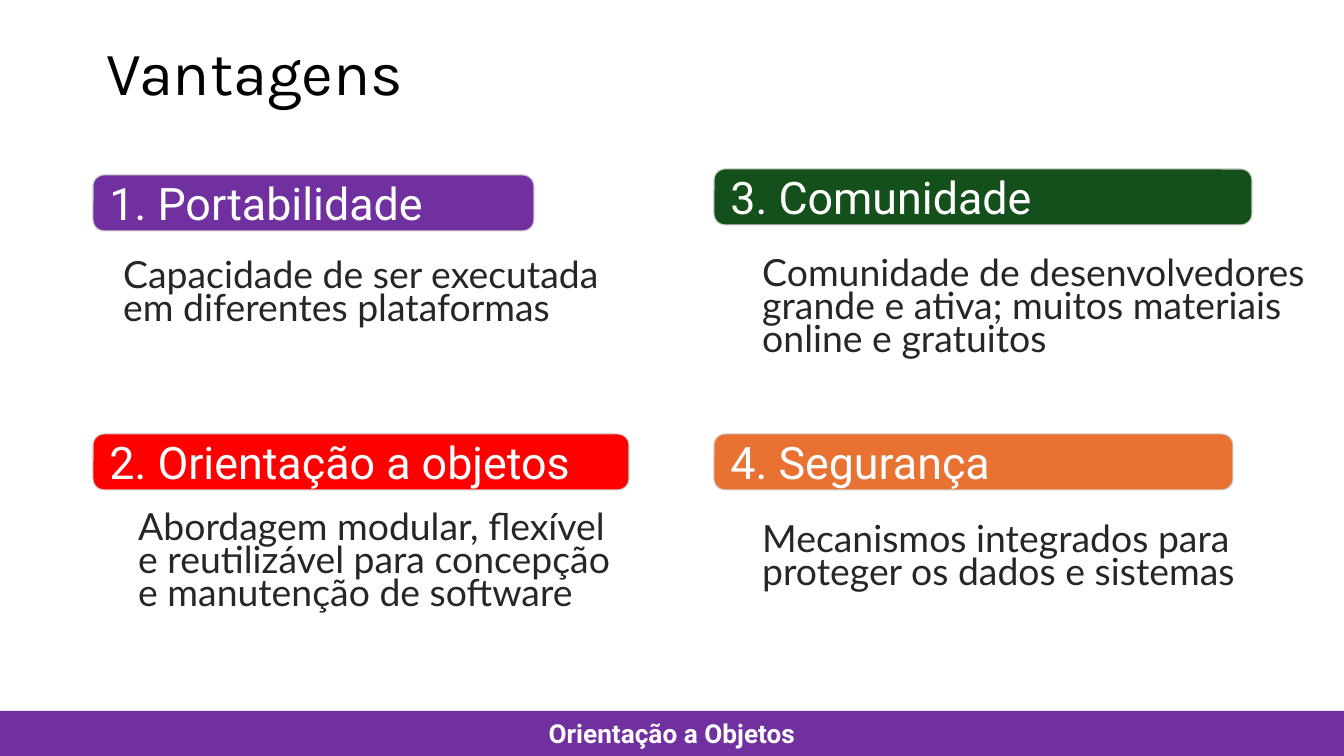
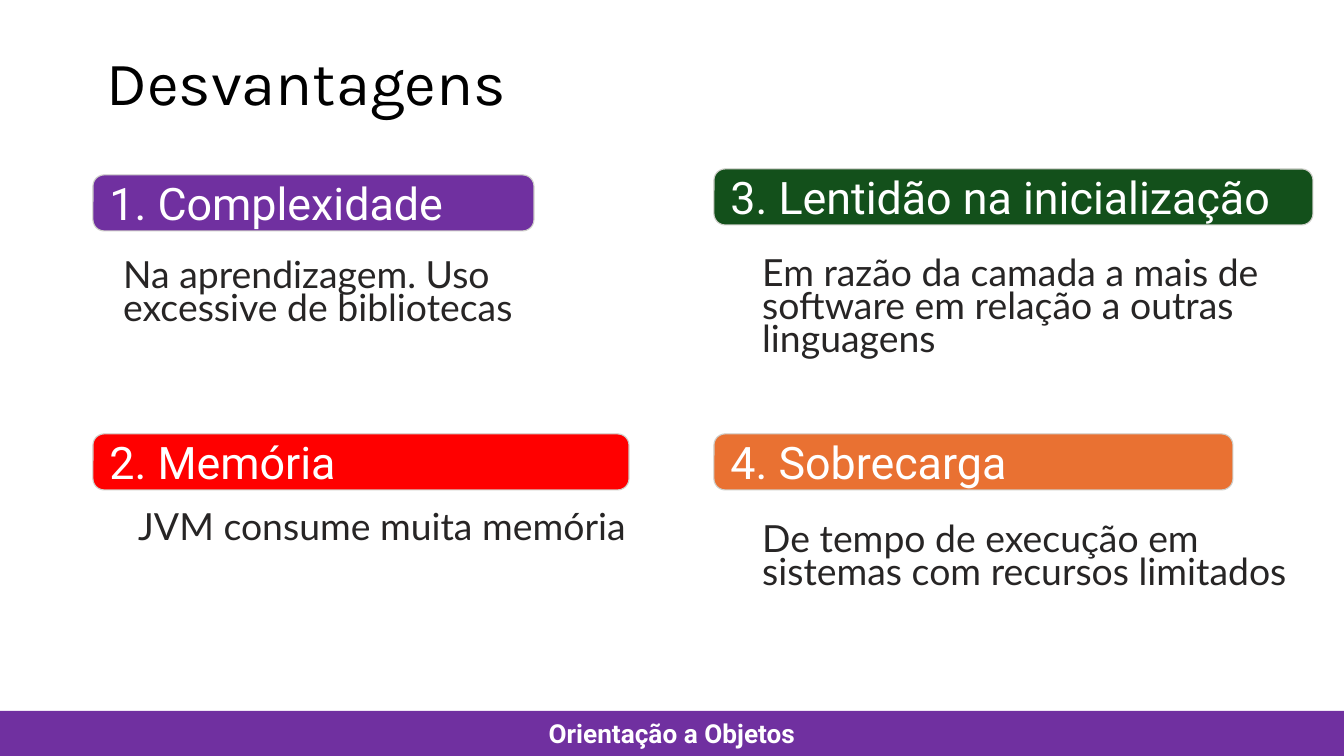
from pptx import Presentation
from pptx import util as u
from pptx.dml.color import RGBColor
from pptx.enum import shapes, text

PX = 914400 / 134.4
PURPLE, RED, GREEN, ORANGE = "7030A0", "FF0000", "13501B", "E97132"
WHITE, BLACK, INK, EDGE = "FFFFFF", "000000", "272525", "CECEC9"
TAG_H, NOTE_H = 56, 66

# Each slot: colour, left and top of the tag, left and top of the note
SLOTS = [
    (PURPLE, 93, 175, 110, 257),
    (RED, 93, 434, 125, 509),
    (GREEN, 714, 169, 749, 255),
    (ORANGE, 714, 434, 749, 521),
]

# Each point: heading, tag width, note, note width
PROS = [
    ("1. Portabilidade", 441,
     "Capacidade de ser executada em diferentes plataformas", 519),
    ("2. Orientação a objetos", 536,
     "Abordagem modular, flexível e reutilizável para concepção "
     "e manutenção de software", 519),
    ("3. Comunidade", 538,
     "Comunidade de desenvolvedores grande e ativa; "
     "muitos materiais online e gratuitos", 595),
    ("4. Segurança", 519,
     "Mecanismos integrados para proteger os dados e sistemas", 519),
]
CONS = [
    ("1. Complexidade", 441,
     "Na aprendizagem. Uso excessive de bibliotecas", 519),
    ("2. Memória", 536, "JVM consume muita memória", 519),
    ("3. Lentidão na inicialização", 599,
     "Em razão da camada a mais de software em relação "
     "a outras linguagens", 540),
    ("4. Sobrecarga", 519,
     "De tempo de execução em sistemas com recursos limitados", 564),
]


def px(n):
    return u.Emu(round(n * PX))


def rgb(code):
    return RGBColor.from_string(code)


def write(shape, words, font, size, color, bold=False, align="LEFT",
          anchor="TOP", lead=None):
    frame = shape.text_frame
    frame.word_wrap = True
    frame.auto_size = text.MSO_AUTO_SIZE.NONE
    frame.vertical_anchor = text.MSO_ANCHOR[anchor]
    para = frame.paragraphs[0]
    para.alignment = text.PP_ALIGN[align]
    if lead:
        para.line_spacing = lead
    run = para.add_run()
    run.text = words
    run.font.name = font
    run.font.size = u.Pt(size)
    run.font.bold = bold
    run.font.color.rgb = rgb(color)


def block(slide, kind, box, fill, edge=None):
    shape = slide.shapes.add_shape(kind, *map(px, box))
    shape.shadow.inherit = False
    shape.fill.solid()
    shape.fill.fore_color.rgb = rgb(fill)
    if edge:
        shape.line.color.rgb = rgb(edge)
        shape.line.width = u.Pt(0.6)
    else:
        shape.line.fill.background()
    return shape


def band(slide):
    """Draw the footer band and move it to the layout, for all slides."""
    bar = block(slide, shapes.MSO_SHAPE.RECTANGLE, (0, 711, 1344, 45), PURPLE)
    write(bar, "Orientação a Objetos", "Roboto", 14, WHITE, bold=True,
          align="CENTER")
    slide.slide_layout.shapes.element.append(bar.element)


def title(slide, words, top, height):
    head = slide.shapes.title
    head.left, head.top = px(93), px(top)
    head.width, head.height = px(1159), px(height)
    write(head, words, "Karla", 33, BLACK, lead=0.9)


def tag(slide, words, left, top, width, fill):
    shape = block(slide, shapes.MSO_SHAPE.ROUNDED_RECTANGLE,
                  (left, top, width, TAG_H), fill, EDGE)
    shape.adjustments[0] = 0.2
    write(shape, words, "Roboto", 24, WHITE, anchor="MIDDLE")


def note(slide, words, left, top, width):
    box = slide.shapes.add_textbox(*map(px, (left, top, width, NOTE_H)))
    write(box, words, "Lato", 20, INK, lead=u.Pt(17.5))


def points(slide, items):
    for slot, (head, wide, words, span) in zip(SLOTS, items):
        fill, left, top, note_x, note_y = slot
        tag(slide, head, left, top, wide, fill)
        note(slide, words, note_x, note_y, span)


def main():
    deck = Presentation()
    deck.slide_width, deck.slide_height = px(1344), px(756)
    layout = deck.slide_layouts[5]

    pros = deck.slides.add_slide(layout)
    band(pros)
    title(pros, "Vantagens", 36, 95)
    points(pros, PROS)

    cons = deck.slides.add_slide(layout)
    title(cons, "Desvantagens", 46, 114)
    points(cons, CONS)

    deck.save("out.pptx")


if __name__ == "__main__":
    main()
